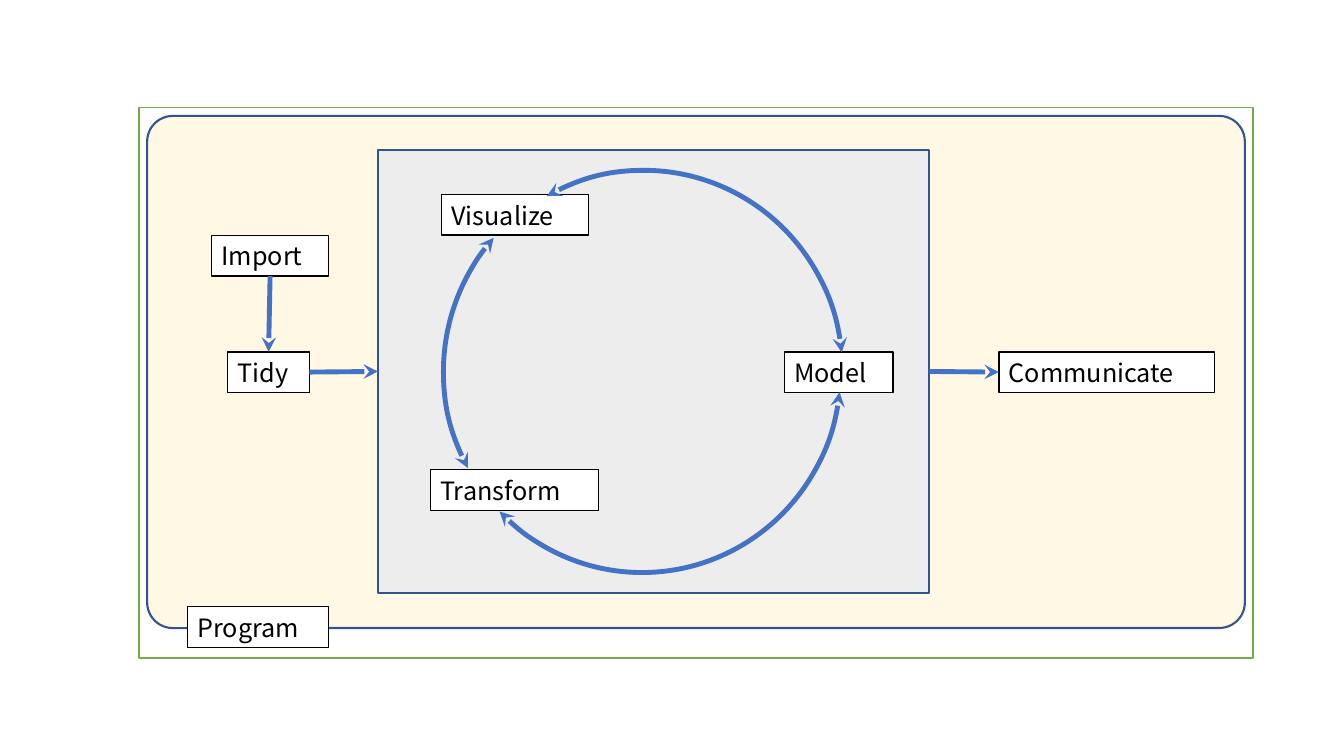
from dataclasses import dataclass

from lxml.etree import SubElement
from pptx import Presentation
from pptx.dml.color import RGBColor
from pptx.enum.shapes import MSO_CONNECTOR as Link, MSO_SHAPE as Preset
from pptx.enum.text import MSO_ANCHOR as Anchor, PP_ALIGN as Align
from pptx.oxml.ns import qn
from pptx.shapes.autoshape import Shape
from pptx.shapes.base import BaseShape
from pptx.slide import Slide
from pptx.util import Pt

COLORS = {
    "white": "FFFFFF",
    "black": "000000",
    "green": "70AD47",
    "navy": "325491",
    "cream": "FFF2CC",
    "pale": "DAE3F3",
    "blue": "4472C4",
}
FONT = "Noto Sans CJK JP"
LABEL_HEIGHT = 29
ARROW_WIDTH = 3.5
ARC_TOP, ARC_WIDTH, ARC_HEIGHT = 121.7, 283.7, 287.3
ARC_UNITS_PER_DEGREE = 0.6
TOP, LEFT, BOTTOM, RIGHT = range(4)


@dataclass
class Frame:
    preset: Preset
    left: float
    top: float
    width: float
    height: float
    fill: str
    opacity: int
    line: str
    line_width: float


@dataclass
class Label:
    text: str
    left: float
    top: float
    width: float


@dataclass
class Arc:
    left: float
    start: float
    end: float


OUTER = Frame(Preset.RECTANGLE, 99.4, 77, 795.6, 393.1, "white", 30, "green", 1)
PROGRAM = Frame(Preset.ROUNDED_RECTANGLE, 105.1, 82.8, 784.1, 365.8, "cream", 50, "navy", 1.5)
EXPLORE = Frame(Preset.RECTANGLE, 270, 107.3, 393.8, 316.1, "pale", 50, "navy", 1.5)

LABELS = [
    Label("Visualize", 315.4, 139, 105.1),
    Label("Transform", 307.4, 335.5, 120.2),
    Label("Model", 560.2, 251.3, 77.8),
    Label("Communicate", 713.5, 251.3, 154.1),
    Label("Tidy", 162.7, 251.3, 58.3),
    Label("Import", 151.2, 168.2, 83.5),
    Label("Program", 133.9, 433.4, 100.8),
]
ARCS = [Arc(316.8, 151, 222), Arc(316.8, 6, 135.5), Arc(318.2, 241, 354.5)]


def color(name: str) -> RGBColor:
    return RGBColor.from_string(COLORS[name])


def add_frame(page: Slide, frame: Frame) -> Shape:
    box = page.shapes.add_shape(
        frame.preset, Pt(frame.left), Pt(frame.top), Pt(frame.width), Pt(frame.height)
    )
    box.shadow.inherit = False
    box.fill.solid()
    box.fill.fore_color.rgb = color(frame.fill)
    tint = box.element.spPr.find(qn("a:solidFill"))[0]
    SubElement(tint, qn("a:alpha"), val=str(frame.opacity * 1000))
    box.line.color.rgb = color(frame.line)
    box.line.width = Pt(frame.line_width)
    return box


def write_text(box: Shape, text: str, *, size: float, font: str, ink: str) -> None:
    frame = box.text_frame
    frame.word_wrap = True
    frame.vertical_anchor = Anchor.MIDDLE
    para = frame.paragraphs[0]
    para.alignment = Align.LEFT
    span = para.add_run()
    span.text = text
    span.font.size = Pt(size)
    span.font.name = font
    span.font.color.rgb = color(ink)
    SubElement(span.font.fill._xPr, qn("a:ea"), typeface=font)


def add_label(page: Slide, label: Label) -> Shape:
    box = page.shapes.add_textbox(
        Pt(label.left), Pt(label.top), Pt(label.width), Pt(LABEL_HEIGHT)
    )
    box.fill.solid()
    box.fill.fore_color.rgb = color("white")
    box.line.color.rgb = color("black")
    box.line.width = Pt(1)
    write_text(box, label.text, size=18, font=FONT, ink="black")
    return box


def style_arrow(arrow: BaseShape, *ends: str) -> None:
    arrow.line.color.rgb = color("blue")
    arrow.line.width = Pt(ARROW_WIDTH)
    outline = arrow.element.spPr.find(qn("a:ln"))
    for end in ends:
        SubElement(outline, qn(f"a:{end}"), type="stealth")


def add_arc(page: Slide, arc: Arc) -> None:
    curve = page.shapes.add_shape(
        Preset.ARC, Pt(arc.left), Pt(ARC_TOP), Pt(ARC_WIDTH), Pt(ARC_HEIGHT)
    )
    curve.shadow.inherit = False
    curve.fill.background()
    curve.adjustments[0] = arc.start * ARC_UNITS_PER_DEGREE
    curve.adjustments[1] = arc.end * ARC_UNITS_PER_DEGREE
    style_arrow(curve, "headEnd", "tailEnd")


def add_arrow(page: Slide, source: Shape, source_side: int, target: Shape, target_side: int) -> None:
    arrow = page.shapes.add_connector(Link.STRAIGHT, 0, 0, 0, 0)
    arrow.begin_connect(source, source_side)
    arrow.end_connect(target, target_side)
    style_arrow(arrow, "tailEnd")
    SubElement(arrow.element.spPr, qn("a:effectLst"))


def main() -> None:
    deck = Presentation()
    deck.slide_width, deck.slide_height = Pt(960), Pt(540)
    page = deck.slides.add_slide(deck.slide_layouts[6])

    add_frame(page, OUTER)
    add_frame(page, PROGRAM).adjustments[0] = 0.05
    explore = add_frame(page, EXPLORE)
    boxes = {label.text: add_label(page, label) for label in LABELS}
    for arc in ARCS:
        add_arc(page, arc)
    add_arrow(page, explore, RIGHT, boxes["Communicate"], LEFT)
    add_arrow(page, boxes["Tidy"], RIGHT, explore, LEFT)
    add_arrow(page, boxes["Import"], BOTTOM, boxes["Tidy"], TOP)

    deck.save("out.pptx")


if __name__ == "__main__":
    main()
